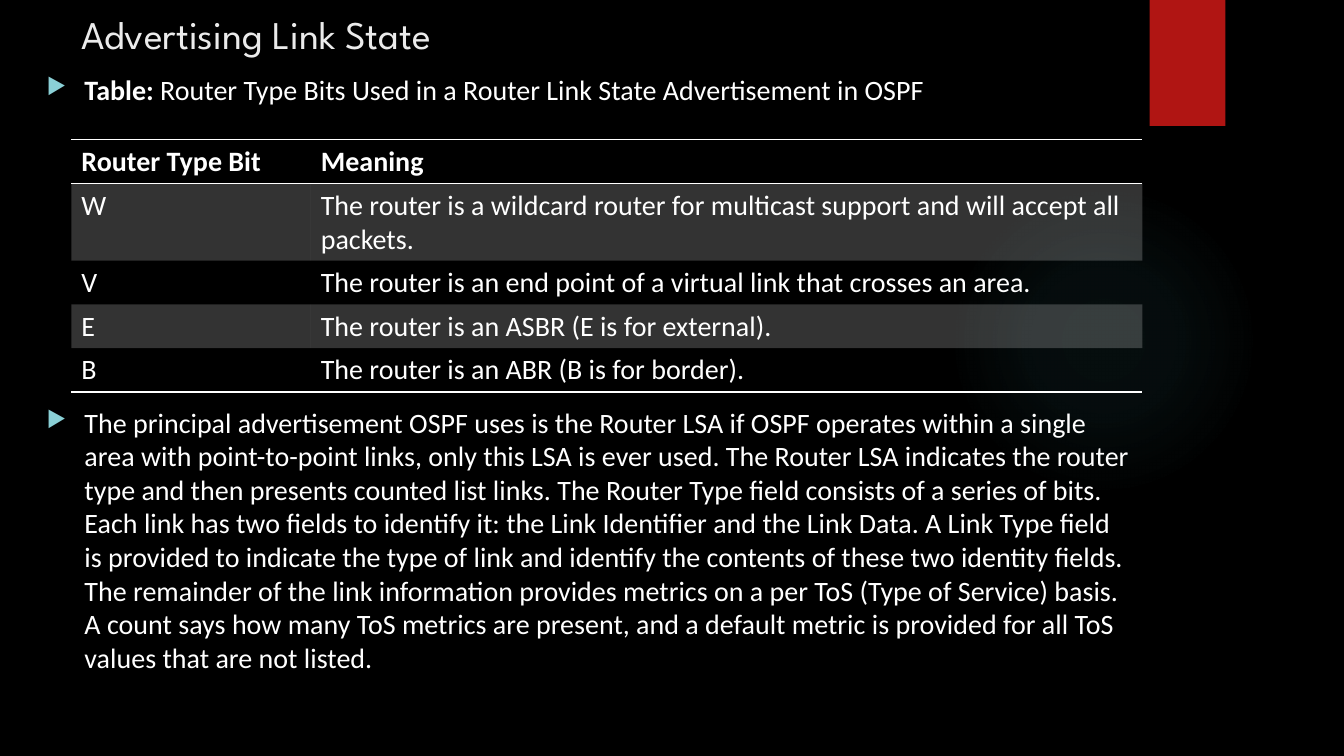
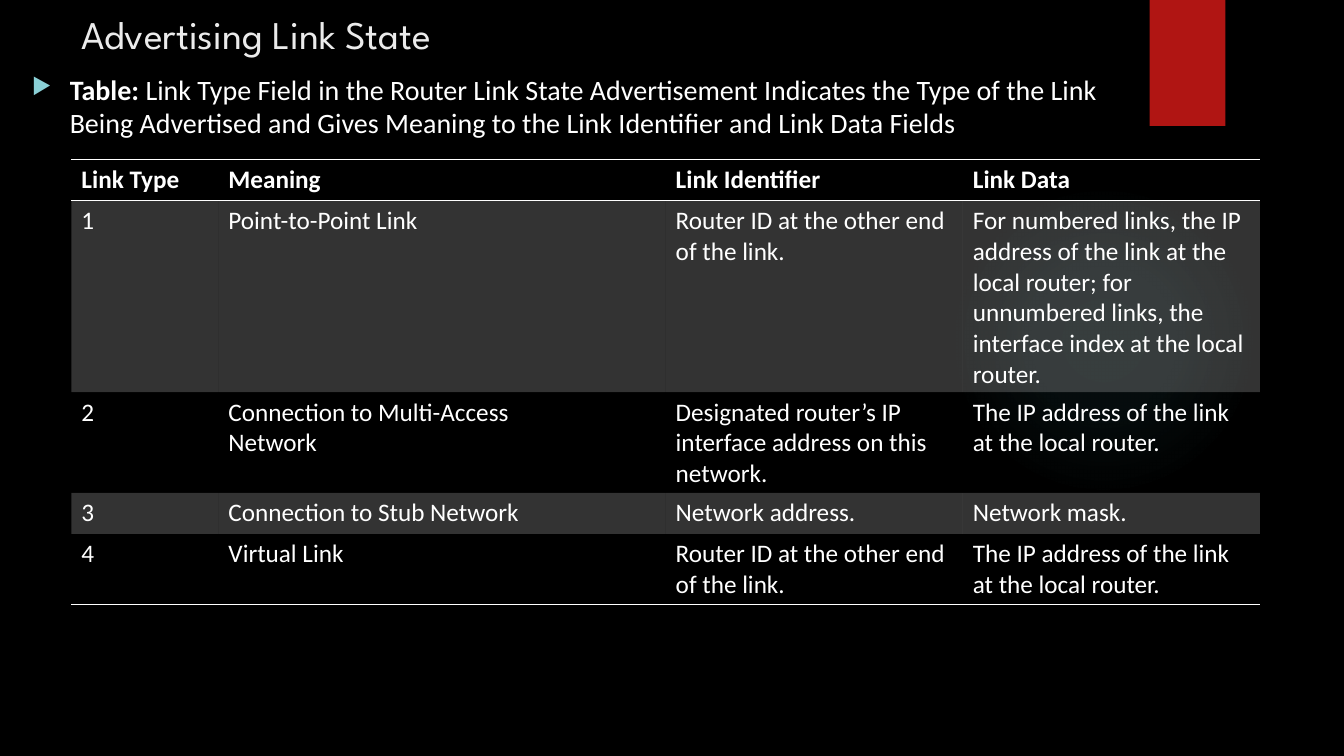
"""Build two slides on how OSPF routers advertise link state."""
from dataclasses import dataclass

from lxml.etree import SubElement as Sub
from pptx import Presentation
from pptx.dml.color import RGBColor
from pptx.enum.shapes import MSO_SHAPE as Kind
from pptx.enum.text import MSO_ANCHOR as Anchor
from pptx.oxml import parse_xml
from pptx.oxml.ns import nsdecls, qn
from pptx.util import Pt

SCALE = 9525
WHITE, BLACK, RED = "FFFFFF", "000000", "B01513"
PALE, TEAL, GLOW = "EBEBEB", "8AD0D6", "50B9C1"
HEAD, BODY = "League Spartan", "Calibri"
PLAIN = "{2D5ABB26-0587-4C30-8999-92F81FD0307C}"
INDENT = 36
ROW = 39
STOPS = ((0, 7), (36, 6), (69, 0), (100, 0))


@dataclass(frozen=True)
class Box:
    left: int
    top: int
    width: int
    height: int


@dataclass(frozen=True)
class Note:
    box: Box
    text: str
    lead: str = ""


@dataclass(frozen=True)
class Grid:
    left: int
    top: int
    size: int
    cols: tuple[int, ...]
    rows: tuple[tuple[str, ...], ...]


@dataclass(frozen=True)
class Page:
    title: str
    notes: tuple[Note, ...]
    grid: Grid


PAGES = (
    Page(
        "Advertising Link State",
        (
            Note(Box(35, 64, 1054, 60),
                 "Router Type Bits Used in a Router Link State Advertisement in OSPF",
                 "Table: "),
            Note(Box(35, 381, 1054, 275),
                 "The principal advertisement OSPF uses is the Router LSA if OSPF "
                 "operates within a single area with point-to-point links, only this "
                 "LSA is ever used. The Router LSA indicates the router type and then "
                 "presents counted list links. The Router Type field consists of a "
                 "series of bits. Each link has two fields to identify it: the Link "
                 "Identifier and the Link Data. A Link Type field is provided to "
                 "indicate the type of link and identify the contents of these two "
                 "identity fields. The remainder of the link information provides "
                 "metrics on a per ToS (Type of Service) basis. A count says how many "
                 "ToS metrics are present, and a default metric is provided for all "
                 "ToS values that are not listed."),
        ),
        Grid(68, 133, 20, (228, 792), (
            ("Router Type Bit", "Meaning"),
            ("W", "The router is a wildcard router for multicast support and will "
                  "accept all packets."),
            ("V", "The router is an end point of a virtual link that crosses an area."),
            ("E", "The router is an ASBR (E is for external)."),
            ("B", "The router is an ABR (B is for border)."),
        )),
    ),
    Page(
        "Advertising Link State",
        (
            Note(Box(21, 64, 1034, 80),
                 "Link Type Field in the Router Link State Advertisement Indicates the "
                 "Type of the Link Being Advertised and Gives Meaning to the Link "
                 "Identifier and Link Data Fields",
                 "Table: "),
        ),
        Grid(68, 152, 18, (140, 426, 283, 283), (
            ("Link Type", "Meaning", "Link Identifier", "Link Data"),
            ("1", "Point-to-Point Link", "Router ID at the other end of the link.",
             "For numbered links, the IP address of the link at the local router; for "
             "unnumbered links, the interface index at the local router."),
            ("2", "Connection to Multi-Access\nNetwork",
             "Designated router’s IP interface address on this network.",
             "The IP address of the link at the local router."),
            ("3", "Connection to Stub Network", "Network address.", "Network mask."),
            ("4", "Virtual Link", "Router ID at the other end of the link.",
             "The IP address of the link at the local router."),
        )),
    ),
)


def px(num: int) -> int:
    return num * SCALE


def place(box: Box) -> tuple[int, ...]:
    return tuple(px(n) for n in (box.left, box.top, box.width, box.height))


def paint(tint: str) -> RGBColor:
    return RGBColor.from_string(tint)


def style(font, size: int, face: str, tint: str, bold: bool = False) -> None:
    font.size, font.name, font.bold = Pt(size), face, bold
    font.color.rgb = paint(tint)


def add_form(slide, kind: Kind, box: Box, tint: str):
    form = slide.shapes.add_shape(kind, *place(box))
    form.shadow.inherit = False
    form.fill.solid()
    form.fill.fore_color.rgb = paint(tint)
    form.line.fill.background()
    return form


def add_decor(slide) -> None:
    orb = add_form(slide, Kind.OVAL, Box(903, 176, 296, 296), GLOW)
    stops = "".join(
        f'<a:gs pos="{pos * 1000}"><a:srgbClr val="{GLOW}">'
        f'<a:alpha val="{alpha * 1000}"/></a:srgbClr></a:gs>'
        for pos, alpha in STOPS)
    fade = parse_xml(
        f'<a:gradFill {nsdecls("a")} rotWithShape="1"><a:gsLst>{stops}</a:gsLst>'
        '<a:path path="circle"><a:fillToRect l="50000" t="50000" r="50000" '
        'b="50000"/></a:path></a:gradFill>')
    props = orb._element.spPr
    props.replace(props.find(qn("a:solidFill")), fade)
    add_form(slide, Kind.RECTANGLE, Box(1095, 0, 72, 120), RED)


def add_frame(slide, box: Box):
    frame = slide.shapes.add_textbox(*place(box)).text_frame
    frame.word_wrap = True
    return frame


def add_title(slide, text: str) -> None:
    frame = add_frame(slide, Box(68, 0, 988, 64))
    frame.vertical_anchor = Anchor.MIDDLE
    frame.text = text
    style(frame.paragraphs[0].runs[0].font, 28, HEAD, PALE)


def add_note(slide, note: Note) -> None:
    para = add_frame(slide, note.box).paragraphs[0]
    props = para._p.get_or_add_pPr()
    props.set("marL", str(px(INDENT)))
    props.set("indent", str(-px(INDENT)))
    Sub(Sub(props, qn("a:buClr")), qn("a:srgbClr"), val=TEAL)
    Sub(props, qn("a:buSzPct"), val="80000")
    Sub(props, qn("a:buChar"), char="▶")
    for text, bold in ((note.lead, True), (note.text, False)):
        if text:
            run = para.add_run()
            run.text = text
            style(run.font, 20, BODY, WHITE, bold)


def add_rule(cell, side: str) -> None:
    rule = parse_xml(
        f'<a:{side} {nsdecls("a")} w="12700"><a:solidFill>'
        f'<a:srgbClr val="{WHITE}"/></a:solidFill></a:{side}>')
    cell._tc.get_or_add_tcPr().insert(0, rule)


def shade(cell, band: bool) -> None:
    if not band:
        cell.fill.background()
        return
    cell.fill.solid()
    cell.fill.fore_color.rgb = paint(WHITE)
    tone = cell._tc.tcPr.find(qn("a:solidFill"))[0]
    Sub(tone, qn("a:alpha"), val="20000")


def add_grid(slide, grid: Grid) -> None:
    count = len(grid.rows)
    box = Box(grid.left, grid.top, sum(grid.cols), ROW * count)
    table = slide.shapes.add_table(count, len(grid.cols), *place(box)).table
    table._tbl.tblPr.find(qn("a:tableStyleId")).text = PLAIN
    for col, width in zip(table.columns, grid.cols):
        col.width = px(width)
    for i, texts in enumerate(grid.rows):
        table.rows[i].height = px(ROW)
        for j, text in enumerate(texts):
            cell = table.cell(i, j)
            cell.text_frame.text = text
            for para in cell.text_frame.paragraphs:
                style(para.runs[0].font, grid.size, BODY, WHITE, i == 0)
            shade(cell, i % 2 == 1)
            if i in (0, count - 1):
                add_rule(cell, "lnB")
            if i == 0:
                add_rule(cell, "lnT")


def main() -> None:
    deck = Presentation()
    deck.slide_width, deck.slide_height = px(1280), px(720)
    back = deck.slide_master.background.fill
    back.solid()
    back.fore_color.rgb = paint(BLACK)
    for page in PAGES:
        slide = deck.slides.add_slide(deck.slide_layouts[6])
        add_decor(slide)
        add_title(slide, page.title)
        for note in page.notes:
            add_note(slide, note)
        add_grid(slide, page.grid)
    deck.save("out.pptx")


if __name__ == "__main__":
    main()
